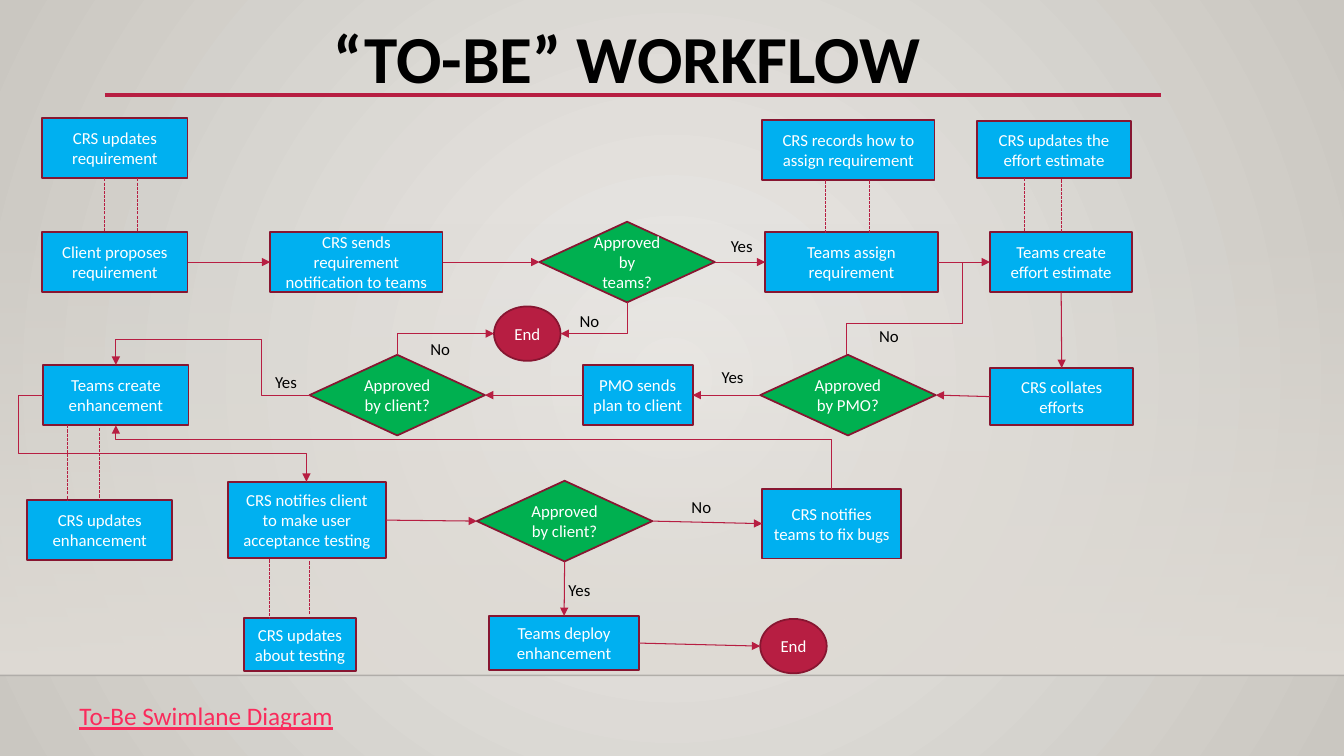
"""Build the "To-Be" workflow slide."""
from lxml import etree
from pptx import Presentation
from pptx.dml.color import RGBColor
from pptx.enum.dml import MSO_LINE
from pptx.enum.shapes import MSO_CONNECTOR, MSO_SHAPE
from pptx.enum.text import MSO_ANCHOR, MSO_AUTO_SIZE, PP_ALIGN
from pptx.oxml.ns import qn
from pptx.util import Emu, Pt

STRAIGHT, ELBOW = MSO_CONNECTOR.STRAIGHT, MSO_CONNECTOR.ELBOW
RECT, DIAMOND, OVAL = MSO_SHAPE.RECTANGLE, MSO_SHAPE.DIAMOND, MSO_SHAPE.OVAL
DASH = MSO_LINE.SQUARE_DOT
LEFT, CENTER = PP_ALIGN.LEFT, PP_ALIGN.CENTER
MIDDLE, TOP = MSO_ANCHOR.MIDDLE, MSO_ANCHOR.TOP
GROW = MSO_AUTO_SIZE.SHAPE_TO_FIT_TEXT
COLS, ROWS, CELL = 1333, 750, 9144
FONT = "Calibri"
COLORS = {
    "step": "00B0F0", "choice": "00B050", "end": "B71E42", "edge": "871631",
    "flow": "B71E42", "white": "FFFFFF", "black": "000000", "link": "FA2B5C",
    "center": "ECEAE7", "rim": "CAC7C1", "floor": "DFDBD5", "horizon": "000001",
}
KINDS = {"step": RECT, "choice": DIAMOND, "end": OVAL}
STEP_H, CHOICE, END = 60, (174, 80), (66, 54)
ROW_1, ROW_2 = 230, 362
NODES = {
    "propose": ("step", 42, ROW_1, 144, STEP_H, "Client proposes requirement"),
    "requirement": ("step", 42, 117, 144, STEP_H, "CRS updates requirement"),
    "notify": ("step", 268, ROW_1, 171, STEP_H, "CRS sends requirement notification to teams"),
    "by_teams": ("choice", 535, ROW_1 - 10, *CHOICE, "Approved by teams?"),
    "rejected": ("end", 490, 304, *END, "End"),
    "assign": ("step", 759, ROW_1, 171, STEP_H, "Teams assign requirement"),
    "record": ("step", 756, 119, 171, STEP_H, "CRS records how to assign requirement"),
    "estimate": ("step", 982, ROW_1, 141, STEP_H, "Teams create effort estimate"),
    "update": ("step", 969, 120, 153, 57, "CRS updates the effort estimate"),
    "collate": ("step", 982, 365, 142, 57, "CRS collates efforts"),
    "by_pmo": ("choice", 754, ROW_2 - 10, *CHOICE, "Approved by PMO?"),
    "plan": ("step", 578, ROW_2, 109, STEP_H, "PMO sends plan to client"),
    "by_client": ("choice", 307, ROW_2 - 10, *CHOICE, "Approved by client?"),
    "create": ("step", 43, ROW_2, 144, STEP_H, "Teams create enhancement"),
    "enhancement": ("step", 27, 496, 144, STEP_H, "CRS updates enhancement"),
    "acceptance": ("step", 226, 478, 157, 76, "CRS notifies client to make user acceptance testing"),
    "testing": ("step", 242, 613, 111, 53, "CRS updates about testing"),
    "accepted": ("choice", 473, 477, *CHOICE, "Approved by client?"),
    "deploy": ("step", 485, 611, 149, 54, "Teams deploy enhancement"),
    "done": ("end", 754, 614, *END, "End"),
    "fix": ("step", 756, 485, 138, 69, "CRS notifies teams to fix bugs"),
}
ARROWS = [
    ("propose", 3, "notify", 1), ("notify", 3, "by_teams", 1),
    ("by_teams", 3, "assign", 1), ("assign", 3, "estimate", 1),
    ("estimate", 2, "collate", 0), ("collate", 1, "by_pmo", 3),
    ("by_pmo", 1, "plan", 3), ("plan", 1, "by_client", 3),
    ("acceptance", 3, "accepted", 1), ("accepted", 3, "fix", 1),
    ("accepted", 2, "deploy", 0), ("deploy", 3, "done", 1),
]
ELBOWS = [
    ([(43, 392), (18, 392), (18, 450), (304, 450), (304, 478)], True),
    ([(622, 300), (622, 331), (556, 331)], True),
    ([(394, 352), (394, 331), (490, 331)], True),
    ([(840, 352), (840, 321), (955, 321), (955, 260), (930, 260)], False),
    ([(825, 485), (825, 436), (115, 436), (115, 422)], True),
    ([(307, 392), (259, 392), (259, 337), (115, 337), (115, 362)], True),
]
DASHES = [
    (104, 177, 53), (136, 177, 53), (819, 179, 53), (862, 179, 53), (1016, 177, 53),
    (1053, 178, 53), (67, 422, 74), (99, 425, 71), (267, 555, 59), (307, 557, 53),
]
LABELS = [
    ("Yes", 715, 229), ("Yes", 706, 359), ("Yes", 263, 364), ("No", 565, 303),
    ("No", 417, 331), ("No", 862, 318), ("No", 676, 488), ("Yes", 554, 570),
]


def cells(*counts):
    """Turn counts of grid cells into lengths."""
    return [Emu(round(n * CELL)) for n in counts]


def rgb(name):
    """Look up a named colour."""
    return RGBColor.from_string(COLORS[name])


def write(sp, text, size=12, color="black", bold=False, underline=False,
          align=LEFT, anchor=TOP, wrap=True, grow=False, spacing=None):
    """Put one formatted paragraph into a shape."""
    tf = sp.text_frame
    tf.word_wrap, tf.vertical_anchor = wrap, anchor
    if grow:
        tf.auto_size = GROW
    p = tf.paragraphs[0]
    p.alignment, p.line_spacing = align, spacing
    r = p.add_run()
    r.text = text
    r.font.name, r.font.size = FONT, Pt(size)
    r.font.bold, r.font.underline = bold, underline
    r.font.color.rgb = rgb(color)


def add_alpha(element, percent):
    """Give the first colour in an element an opacity."""
    color = next(element.iter(qn("a:srgbClr")))
    etree.SubElement(color, qn("a:alpha"), val=str(percent * 1000))


def gradient(fill, first, last):
    """Fill with a gradient of two colours."""
    fill.gradient()
    for stop, name, position in zip(fill.gradient_stops, (first, last), (0, 1)):
        stop.color.rgb, stop.position = rgb(name), position


def add_node(s, kind, x, y, w, h, text):
    """Add one workflow shape."""
    sp = s.shapes.add_shape(KINDS[kind], *cells(x, y, w, h))
    sp.shadow.inherit = False
    sp.fill.solid()
    sp.fill.fore_color.rgb = rgb(kind)
    sp.line.color.rgb, sp.line.width = rgb("edge"), Pt(1.25)
    write(sp, text, color="white", align=CENTER, anchor=MIDDLE)
    return sp


def add_line(s, x1, y1, x2, y2, kind=STRAIGHT, color="flow", width=0.75,
             dash=None, arrow=False):
    """Add a connector between two grid points."""
    c = s.shapes.add_connector(kind, *cells(x1, y1, x2, y2))
    c.line.color.rgb, c.line.width = rgb(color), Pt(width)
    if dash:
        c.line.dash_style = dash
    spPr = c._element.spPr
    if arrow:
        etree.SubElement(spPr.find(qn("a:ln")), qn("a:tailEnd"), type="triangle")
    etree.SubElement(spPr, qn("a:effectLst"))
    return c


def side(name, site):
    """Find the middle of a node's side."""
    x, y, w, h = NODES[name][1:5]
    return [(x + w / 2, y), (x, y + h / 2), (x + w / 2, y + h), (x + w, y + h / 2)][site]


def add_arrow(s, nodes, start, start_site, end, end_site):
    """Join two nodes by a straight arrow."""
    c = add_line(s, *side(start, start_site), *side(end, end_site), arrow=True)
    c.begin_connect(nodes[start], start_site)
    if NODES[end][0] != "end":
        c.end_connect(nodes[end], end_site)


def add_elbow(s, points, arrow):
    """Add a bent connector that passes through the given corners."""
    (x0, y0), (x1, y1) = points[0], points[-1]
    turned = points[1][0] == x0
    u, v = (y1 - y0, x0 - x1) if turned else (x1 - x0, y1 - y0)
    cx, cy = (x0 + x1) / 2, (y0 + y1) / 2
    c = add_line(s, cx - u / 2, cy - v / 2, cx + u / 2, cy + v / 2, ELBOW, arrow=arrow)
    spPr = c._element.spPr
    if turned:
        spPr.find(qn("a:xfrm")).set("rot", "5400000")
    geom = spPr.find(qn("a:prstGeom"))
    geom.set("prst", f"bentConnector{len(points) - 1}")
    guides = geom.find(qn("a:avLst"))
    for i, point in enumerate(points[1:-2]):
        axis = (i + turned) % 2
        share = (point[axis] - points[0][axis]) / (points[-1][axis] - points[0][axis])
        etree.SubElement(guides, qn("a:gd"), name=f"adj{i + 1}",
                         fmla=f"val {round(share * 100000)}")


def add_backdrop(s):
    """Paint the radial background, the floor and the horizon."""
    gradient(s.background.fill, "center", "rim")
    lin = next(s._element.iter(qn("a:lin")))
    radial = etree.Element(qn("a:path"), path="circle")
    etree.SubElement(radial, qn("a:fillToRect"), l="50000", t="50000", r="50000", b="50000")
    lin.getparent().replace(lin, radial)
    floor = s.shapes.add_shape(RECT, *cells(0, 221, COLS, 449))
    floor.shadow.inherit = False
    floor.line.fill.background()
    gradient(floor.fill, "floor", "floor")
    floor.fill.gradient_angle = 270
    add_alpha(floor._element, 0)
    horizon = add_line(s, 0, 670, COLS, 670, color="horizon", width=1)
    add_alpha(horizon._element, 20)


def main():
    """Build and save the slide."""
    prs = Presentation()
    prs.slide_width, prs.slide_height = cells(COLS, ROWS)
    s = prs.slides.add_slide(prs.slide_layouts[5])
    add_backdrop(s)
    add_line(s, 104, 94, 1152, 94, width=3)
    title = s.shapes.title
    title.left, title.top, title.width, title.height = cells(240, 20, 764, 83)
    write(title, "“TO-BE” WORKFLOW", size=48, bold=True, align=CENTER,
          anchor=MIDDLE, wrap=False, grow=True, spacing=0.9)
    link = s.shapes.add_textbox(*cells(69, 690, 313, 40))
    write(link, "To-Be Swimlane Diagram", size=18, color="link", underline=True, grow=True)
    nodes = {name: add_node(s, *node) for name, node in NODES.items()}
    for arrow in ARROWS:
        add_arrow(s, nodes, *arrow)
    for points, arrow in ELBOWS:
        add_elbow(s, points, arrow)
    for x, y, length in DASHES:
        add_line(s, x, y, x, y + length, dash=DASH)
    for text, x, y in LABELS:
        write(s.shapes.add_textbox(*cells(x, y, 43, 30)), text, wrap=False, grow=True)
    prs.save("out.pptx")


if __name__ == "__main__":
    main()
